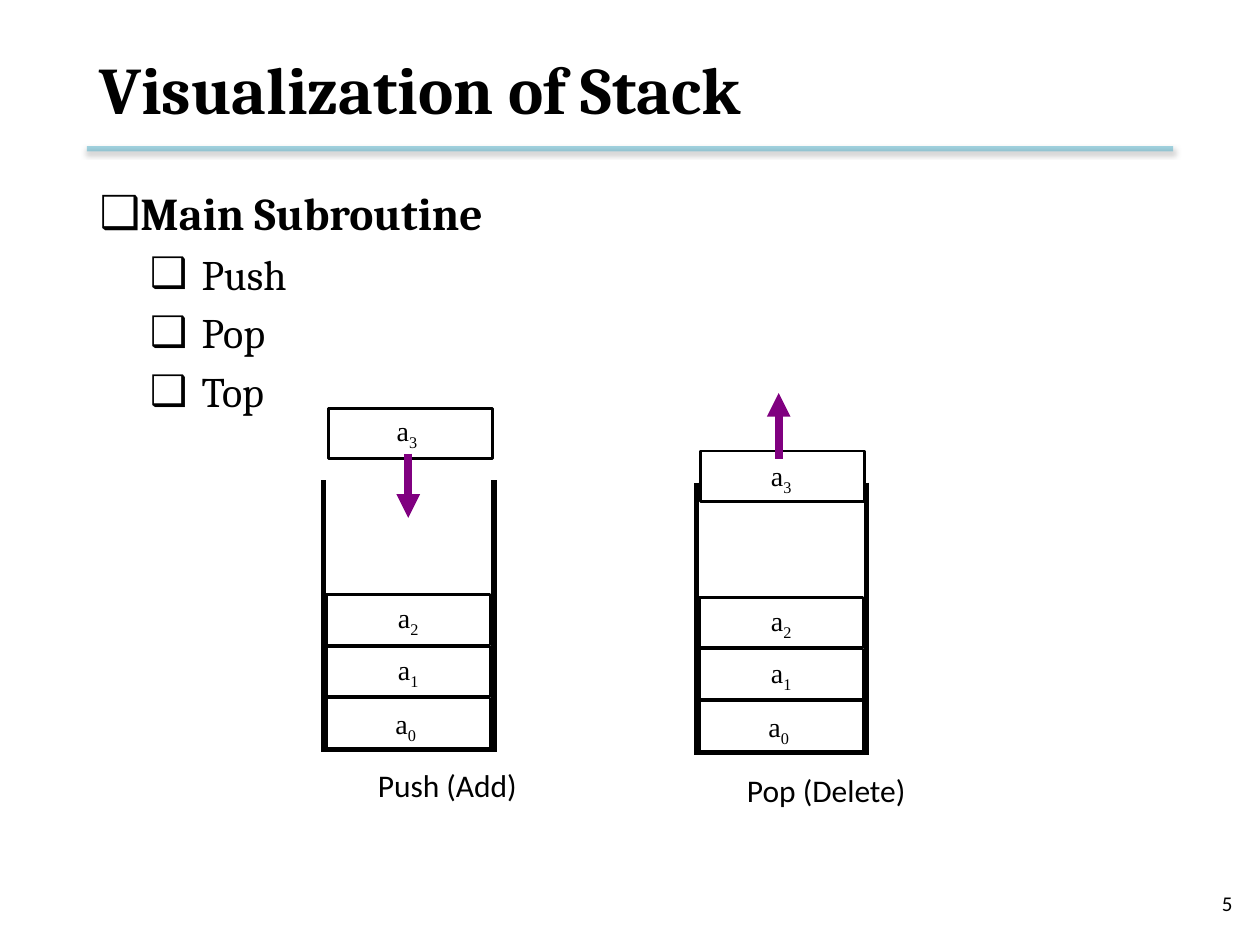
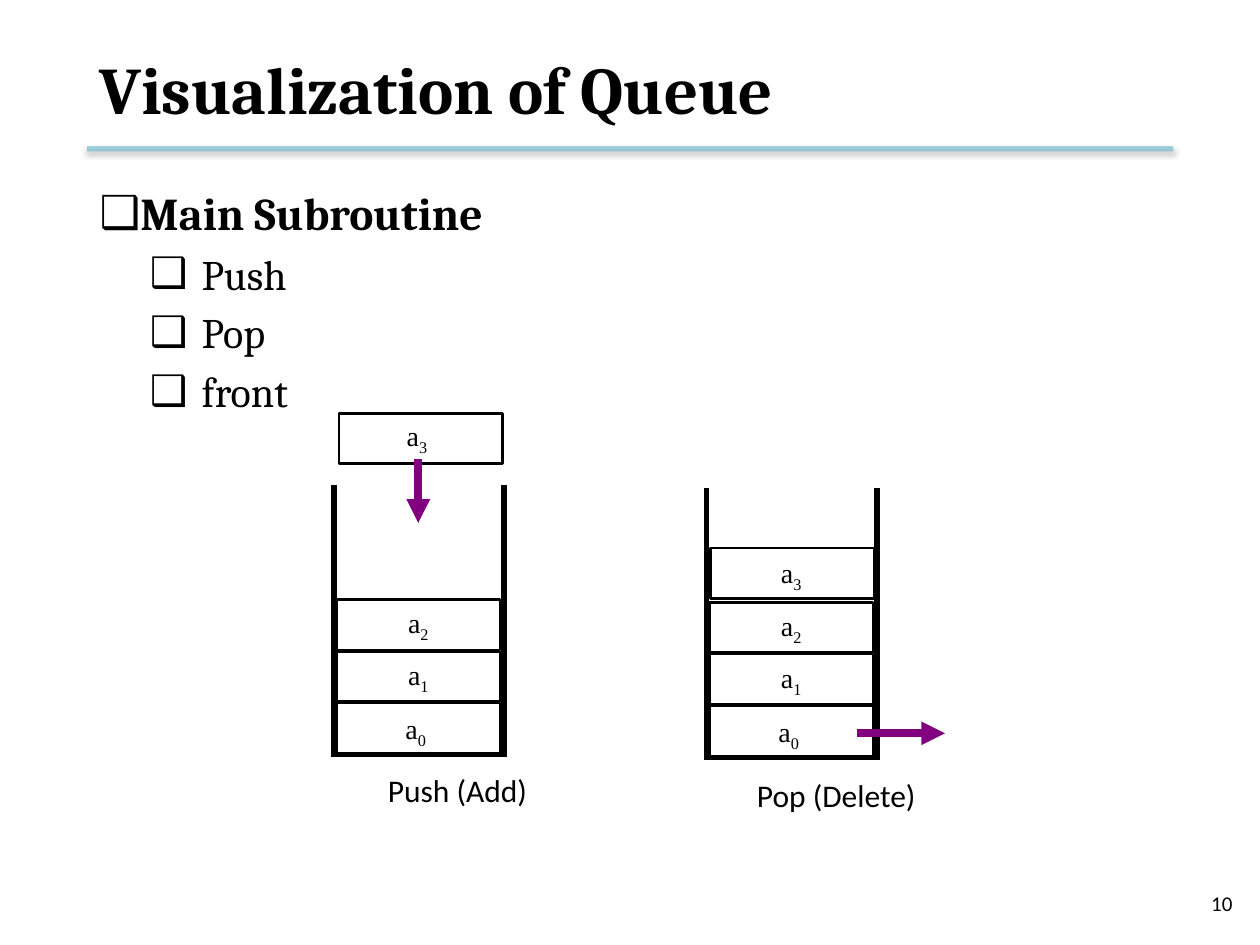
from lxml import etree
from pptx import Presentation
from pptx.dml.color import RGBColor
from pptx.enum.shapes import MSO_CONNECTOR, MSO_SHAPE
from pptx.enum.text import MSO_ANCHOR, MSO_AUTO_SIZE, PP_ALIGN
from pptx.oxml.ns import qn
from pptx.util import Inches, Pt

STRAIGHT = MSO_CONNECTOR.STRAIGHT
RECT = MSO_SHAPE.RECTANGLE
MIDDLE, TOP = MSO_ANCHOR.MIDDLE, MSO_ANCHOR.TOP
LEFT, RIGHT, JUSTIFY = PP_ALIGN.LEFT, PP_ALIGN.RIGHT, PP_ALIGN.JUSTIFY
NO_FIT = MSO_AUTO_SIZE.NONE

COLORS = {"text": "000000", "rule": "4BACC6", "arrow": "800080", "shadow": "000000"}
HEAD, SERIF, SANS = "Cambria", "Times New Roman", "Calibri"
MARGIN, WIDTH = 0.69, 8.62
CELL_W, CELL_H, CELL_STEP = 1.3, 0.4, 0.41
JAR_W, JAR_H = 1.35, 2.16


def rgb(name):
    return RGBColor.from_string(COLORS[name])


class Deck:
    def __init__(self):
        self.prs = Presentation()
        self.prs.slide_width, self.prs.slide_height = Inches(10), Inches(7.5)
        self.s = None

    def add_slide(self, title, items, number):
        self.s = self.prs.slides.add_slide(self.prs.slide_layouts[1])
        self.rule()
        self.text(str(number), 7.55, 6.97, 2.33, 0.4, 12, SANS, RIGHT, MIDDLE)
        self.title(title)
        self.bullets(items)

    def style(self, r, size, font, bold=False):
        r.font.size, r.font.name, r.font.bold = Pt(size), font, bold
        r.font.color.rgb = rgb("text")

    def place(self, sp, x, y, w, h):
        sp.left, sp.top, sp.width, sp.height = map(Inches, (x, y, w, h))

    def title(self, text):
        sp = self.s.shapes.title
        self.place(sp, MARGIN, 0.17, WIDTH, 1.06)
        tf = sp.text_frame
        tf.text = text
        tf.vertical_anchor, tf.auto_size = MIDDLE, NO_FIT
        p = tf.paragraphs[0]
        p.alignment = LEFT
        self.style(p.runs[0], 38, HEAD, True)

    def bullets(self, items):
        sp = self.s.placeholders[1]
        self.place(sp, MARGIN, 1.42, WIDTH, 5.1)
        tf = sp.text_frame
        tf.text = "\n".join(items)
        tf.auto_size = NO_FIT
        for i, p in enumerate(tf.paragraphs):
            first = i == 0
            p.level = 0 if first else 1
            indent, hang = (0.25, -0.45) if first else (0.81, -0.41)
            pPr = p._p.get_or_add_pPr()
            pPr.set("marL", str(Inches(indent)))
            pPr.set("indent", str(Inches(hang)))
            etree.SubElement(pPr, qn("a:buChar"), char="❑")
            p.alignment = JUSTIFY
            if first:
                p.space_before = Pt(0)
            self.style(p.runs[0], 26 if first else 24, HEAD, first)

    def text(self, text, x, y, w, h, size, font, align=LEFT, anchor=TOP, wrap=True):
        sp = self.s.shapes.add_textbox(*map(Inches, (x, y, w, h)))
        tf = sp.text_frame
        tf.text = text
        tf.word_wrap, tf.vertical_anchor = wrap, anchor
        p = tf.paragraphs[0]
        p.alignment = align
        self.style(p.runs[0], size, font)
        return p

    def line(self, x1, y1, x2, y2, width=3, color="text"):
        sp = self.s.shapes.add_connector(STRAIGHT, *map(Inches, (x1, y1, x2, y2)))
        sp.line.width = Pt(width)
        sp.line.color.rgb = rgb(color)
        effects = etree.SubElement(sp._element.spPr, qn("a:effectLst"))
        return sp, effects

    def rule(self):
        sp, effects = self.line(MARGIN, 1.18, MARGIN + WIDTH, 1.18, color="rule")
        clr = sp.line._ln.find(".//" + qn("a:srgbClr"))
        etree.SubElement(clr, qn("a:alpha"), val="50000")
        shadow = etree.SubElement(effects, qn("a:outerShdw"), blurRad=str(Pt(3.1)),
                                  dist=str(Pt(1.6)), dir="5400000", rotWithShape="0")
        clr = etree.SubElement(shadow, qn("a:srgbClr"), val=COLORS["shadow"])
        etree.SubElement(clr, qn("a:alpha"), val="38000")

    def arrow(self, x1, y1, x2, y2):
        sp, _ = self.line(x1, y1, x2, y2, 4.5, "arrow")
        etree.SubElement(sp.line._ln, qn("a:tailEnd"), type="triangle")

    def cell(self, x, y):
        sp = self.s.shapes.add_shape(RECT, *map(Inches, (x, y, CELL_W, CELL_H)))
        sp.shadow.inherit = False
        sp.fill.background()
        sp.line.width = Pt(1.5)
        sp.line.color.rgb = rgb("text")

    def label(self, index, x, y):
        p = self.text("a", x, y, 0.4, 0.37, 16, SERIF)
        r = p.add_run()
        r.text = str(index)
        self.style(r, 16, SERIF)
        r._r.get_or_add_rPr().set("baseline", "-25000")

    def jar(self, x, y):
        """Open container with the cells a0 to a2, a0 at the bottom."""
        for wall_x in (x, x + JAR_W):
            self.line(wall_x, y, wall_x, y + JAR_H)
        self.line(x, y + 2.14, x + JAR_W, y + 2.14)
        for i in range(3):
            self.cell(x + 0.02, y + 1.73 - CELL_STEP * i)
        self.label(0, x + 0.47, y + 1.75)
        for i in (1, 2):
            self.label(i, x + 0.49, y + 1.73 - CELL_STEP * i)

    def push(self, x, y):
        self.jar(x, y)
        self.cell(x + 0.04, y - 0.57)
        self.arrow(x + 0.67, y - 0.21, x + 0.67, y + 0.3)
        self.text("Push (Add)", x + 0.33, y + 2.22, 1.46, 0.4, 18, SANS, wrap=False)
        self.label(3, x + 0.48, y - 0.58)

    def pop(self, x, y, last_y, arrow):
        """last_y is the top of a3 and arrow its ends, all relative to the jar."""
        self.jar(x, y)
        self.cell(x + 0.03, y + last_y)
        x1, y1, x2, y2 = arrow
        self.arrow(x + x1, y + y1, x + x2, y + y2)
        self.text("Pop (Delete)", x + 0.3, y + 2.24, 1.63, 0.4, 18, SANS, wrap=False)
        self.label(3, x + 0.49, y + last_y + 0.01)


def main():
    deck = Deck()

    # Stack: the last element leaves through the top
    deck.add_slide("Visualization of Stack", ["Main Subroutine ", "Push", "Pop", "Top"], 5)
    deck.push(2.57, 3.81)
    deck.pop(5.53, 3.83, -0.25, (0.65, -0.19, 0.65, -0.71))

    # Queue: the first element leaves at the bottom
    deck.add_slide("Visualization of Queue", ["Main Subroutine ", "Push", "Pop", "front"], 10)
    deck.push(2.65, 3.85)
    deck.pop(5.61, 3.87, 0.48, (1.19, 1.95, 1.89, 1.95))

    deck.prs.save("out.pptx")


if __name__ == "__main__":
    main()
